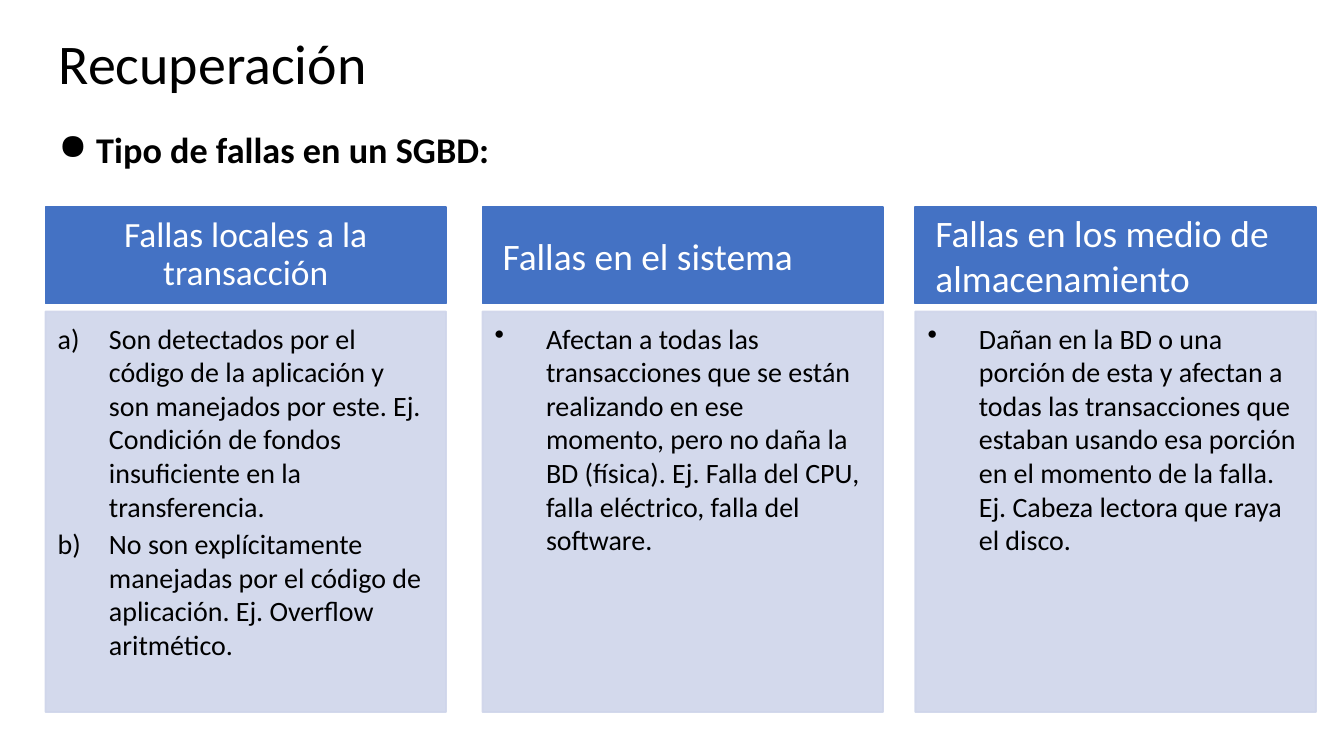
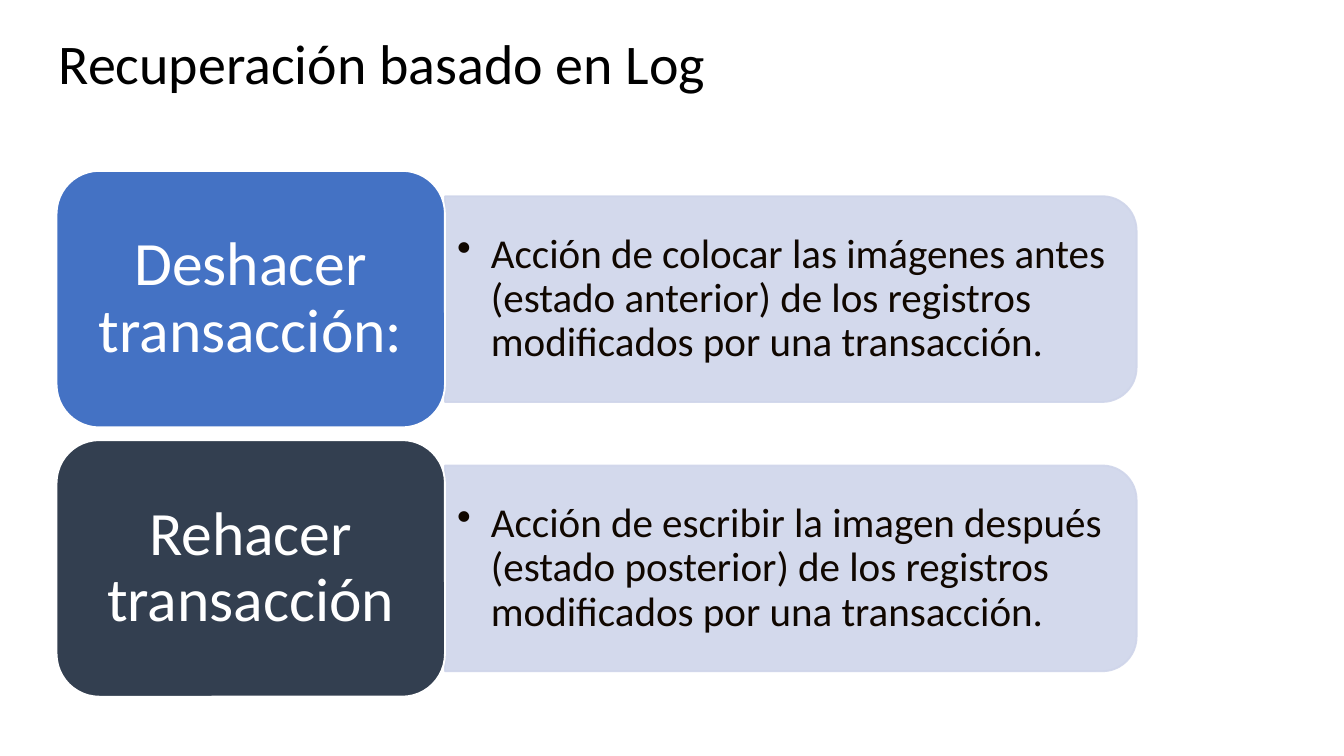
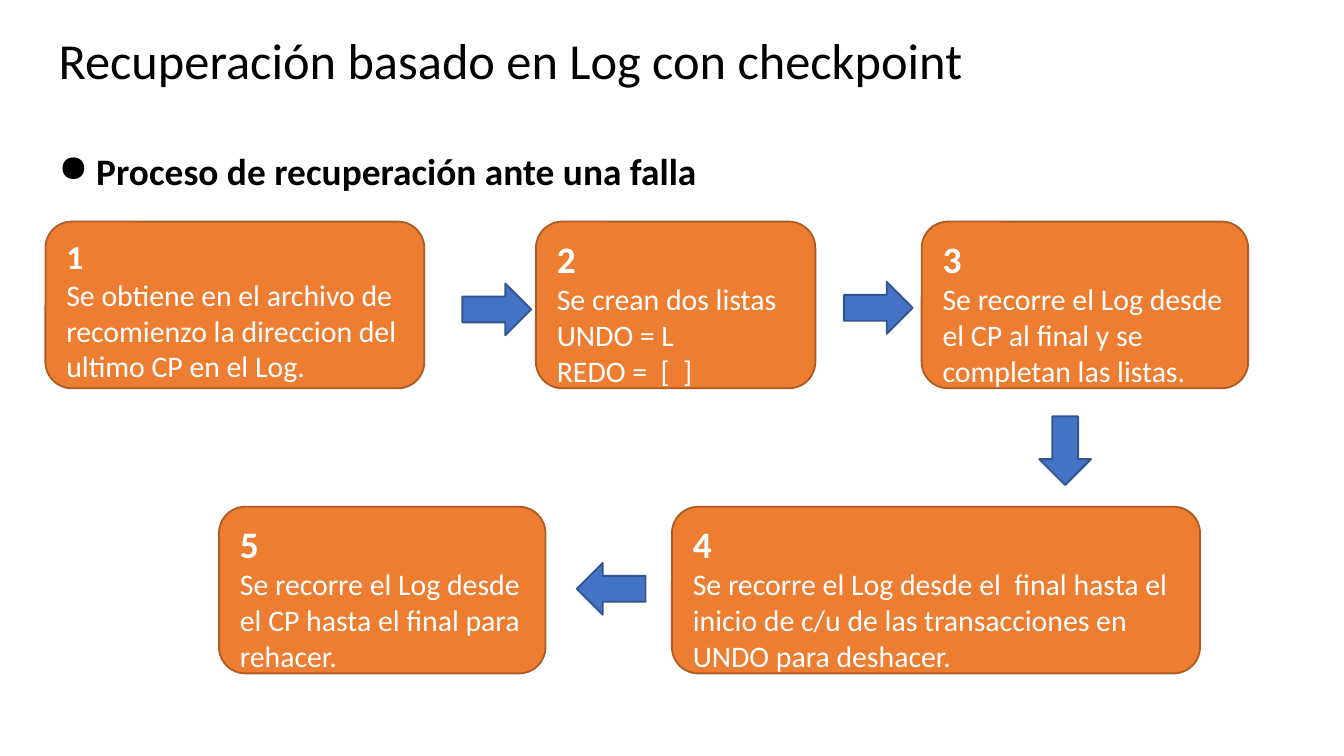
import pptx
import pptx.dml.color
import pptx.enum.shapes
import pptx.enum.text
import pptx.oxml.ns
import pptx.util
from lxml import etree

Cm = pptx.util.Cm
Pt = pptx.util.Pt
RGBColor = pptx.dml.color.RGBColor
SHAPE = pptx.enum.shapes.MSO_SHAPE
ALIGN = pptx.enum.text.PP_ALIGN
ANCHOR = pptx.enum.text.MSO_ANCHOR
qn = pptx.oxml.ns.qn

FONT = "Calibri"
BLACK = RGBColor(0x00, 0x00, 0x00)
WHITE = RGBColor(0xFF, 0xFF, 0xFF)
BLUE = RGBColor(0x44, 0x72, 0xC4)
DARK_BLUE = RGBColor(0x32, 0x54, 0x91)
PALE_BLUE = RGBColor(0xCF, 0xD5, 0xEA)
SLATE = RGBColor(0x33, 0x3F, 0x50)
ORANGE = RGBColor(0xED, 0x7D, 0x31)
BROWN = RGBColor(0xAF, 0x5C, 0x24)
DETAIL_INK = RGBColor(0x10, 0x07, 0x00)

MARGIN = 0.86
CONTENT_WIDTH = 23.67
TITLE_INSETS = (0.25, 0.25, 0.25, 0.25)
DEFAULT_INSETS = (0.25, 0.13, 0.25, 0.13)
NUMBERED = "alphaLcParenR"


def set_frame(shape, insets=DEFAULT_INSETS, anchor=ANCHOR.TOP):
    """Prepare the text frame; insets run left, top, right, bottom in cm."""
    frame = shape.text_frame
    frame.word_wrap = True
    frame.vertical_anchor = anchor
    (frame.margin_left, frame.margin_top,
     frame.margin_right, frame.margin_bottom) = map(Cm, insets)
    return frame


def set_bullet(paragraph, bullet, indent):
    properties = paragraph._p.get_or_add_pPr()
    properties.set("marL", str(Cm(indent)))
    properties.set("indent", str(-Cm(indent)))
    if bullet == NUMBERED:
        etree.SubElement(properties, qn("a:buAutoNum"), type=bullet)
    else:
        etree.SubElement(properties, qn("a:buChar"), char=bullet)


def write(frame, text, size, color=BLACK, bold=False, align=ALIGN.LEFT,
          spacing=None, after=None, bullet=None, indent=0):
    """Add one paragraph, using the empty first one when it is free."""
    paragraph = frame.paragraphs[0]
    if paragraph.runs:
        paragraph = frame.add_paragraph()
    paragraph.alignment = align
    if spacing:
        paragraph.line_spacing = spacing
    if after:
        paragraph.space_after = Pt(after)
    if bullet:
        set_bullet(paragraph, bullet, indent)
    run = paragraph.add_run()
    run.text = text
    run.font.name = FONT
    run.font.size = Pt(size)
    run.font.bold = bold
    run.font.color.rgb = color


def add_block(slide, kind, box, fill, line, opacity=None):
    block = slide.shapes.add_shape(kind, *map(Cm, box))
    block.shadow.inherit = False
    block.fill.solid()
    block.fill.fore_color.rgb = fill
    block.line.color.rgb = line
    block.line.width = Pt(1)
    if opacity:
        for color in block._element.spPr.iter(qn("a:srgbClr")):
            etree.SubElement(color, qn("a:alpha"), val=str(opacity * 1000))
    return block


def add_text_box(slide, box, insets, anchor=ANCHOR.TOP):
    return set_frame(slide.shapes.add_textbox(*map(Cm, box)), insets, anchor)


def add_titled_slide(deck, title, size=30):
    slide = deck.slides.add_slide(deck.slide_layouts[6])
    frame = add_text_box(slide, (MARGIN, 0.43, CONTENT_WIDTH, 1.75), TITLE_INSETS)
    write(frame, title, size, spacing=0.9)
    return slide


def add_lead(slide, text, top, height, size, spacing=None):
    """Bold bulleted sentence under the title."""
    frame = add_text_box(slide, (MARGIN, top, CONTENT_WIDTH, height), TITLE_INSETS)
    write(frame, text, size, bold=True, spacing=spacing, bullet="●", indent=0.71)


def add_failure_column(slide, box, heading, heading_style, bullet, causes):
    left, top, width, height = box
    heading_height, gap = 1.83, 0.15
    header = add_block(slide, SHAPE.RECTANGLE, (left, top, width, heading_height),
                       BLUE, BLUE)
    frame = set_frame(header, (0.38, 0.2, 0.38, 0.2), ANCHOR.MIDDLE)
    write(frame, heading, color=WHITE, **heading_style)

    offset = heading_height + gap
    panel = add_block(slide, SHAPE.RECTANGLE,
                      (left, top + offset, width, height - offset),
                      PALE_BLUE, PALE_BLUE, opacity=90)
    frame = set_frame(panel, (0.23, 0.18, 0.3, 0.33))
    for cause in causes:
        write(frame, cause, 15, after=2.25, bullet=bullet, indent=0.97)


def add_action_row(slide, box, action, fill, meaning):
    """Rounded action label with its meaning on a band to the right."""
    left, top, width, height = box
    label_width, band_height, text_height = 7.34, 3.89, 3.51
    band_left = left + label_width
    band_width = width - label_width
    middle = top + height / 2

    # The band is drawn upright around its centre and then turned on its side.
    band = add_block(slide, SHAPE.ROUND_2_SAME_RECTANGLE,
                     (band_left + (band_width - band_height) / 2,
                      middle - band_width / 2, band_height, band_width),
                     PALE_BLUE, PALE_BLUE, opacity=90)
    band.rotation = 90
    frame = add_text_box(slide, (band_left, middle - text_height / 2,
                                 band_width - 0.19, text_height),
                         (0.23, 0.13, 0.23, 0.13), ANCHOR.MIDDLE)
    write(frame, meaning, 22, DETAIL_INK, spacing=0.9, bullet="•", indent=0.64)

    label = add_block(slide, SHAPE.ROUNDED_RECTANGLE,
                      (left, top, label_width, height), fill, WHITE)
    frame = set_frame(label, (0.36, 0.18, 0.36, 0.18), ANCHOR.MIDDLE)
    write(frame, action, 33, WHITE, align=ALIGN.CENTER, spacing=0.9)


def add_step(slide, box, number, number_size, lines):
    step = add_block(slide, SHAPE.ROUNDED_RECTANGLE, box, ORANGE, BROWN)
    step.adjustments[0] = 0.158
    frame = set_frame(step)
    write(frame, str(number), number_size, WHITE, bold=True)
    for line in lines:
        write(frame, line, 16, WHITE)


def add_step_arrow(slide, left, top, rotation):
    arrow = add_block(slide, SHAPE.RIGHT_ARROW, (left, top, 1.3, 0.98),
                      BLUE, DARK_BLUE)
    arrow.rotation = rotation


def build_failure_types(deck):
    slide = add_titled_slide(deck, "Recuperación")
    add_lead(slide, "Tipo de fallas en un SGBD:", 2.16, 1.35, 19.4)
    centred = {"size": 19, "align": ALIGN.CENTER, "spacing": 0.9}
    plain = {"size": 20}
    columns = [
        (MARGIN, "Fallas locales a la transacción", centred, NUMBERED, [
            "Son detectados por el código de la aplicación y son manejados por "
            "este. Ej. Condición de fondos insuficiente en la transferencia.",
            "No son explícitamente manejadas por el código de aplicación. "
            "Ej. Overflow aritmético."]),
        (9.12, "Fallas en el sistema", plain, "•", [
            "Afectan a todas las transacciones que se están realizando en ese "
            "momento, pero no daña la BD (física). Ej. Falla del CPU, falla "
            "eléctrico, falla del software."]),
        (17.3, "Fallas en los medio de almacenamiento", plain, "•", [
            "Dañan en la BD o una porción de esta y afectan a todas las "
            "transacciones que estaban usando esa porción en el momento de la "
            "falla. Ej. Cabeza lectora que raya el disco."]),
    ]
    for left, *content in columns:
        add_failure_column(slide, (left, 3.91, 7.57, 9.55), *content)


def build_log_recovery(deck):
    slide = add_titled_slide(deck, "Recuperación basado en Log")
    actions = [
        ("Deshacer transacción:", BLUE,
         "Acción de colocar las imágenes antes (estado anterior) de los "
         "registros modificados por una transacción."),
        ("Rehacer transacción", SLATE,
         "Acción de escribir la imagen después (estado posterior) de los "
         "registros modificados por una transacción."),
    ]
    for row, action in enumerate(actions):
        add_action_row(slide, (1.07, 3.23 + row * 5.09, 20.41, 4.85), *action)


def build_checkpoint_recovery(deck):
    slide = add_titled_slide(deck, "Recuperación basado en Log con checkpoint", 27)
    add_lead(slide, "Proceso de recuperación ante una falla", 2.39, 10.34, 20, 1.2)
    upper, lower, height = 4.19, 9.58, 3.15
    steps = [
        (MARGIN, upper, 7.16, 18, [
            "Se obtiene en el archivo de recomienzo la direccion del ultimo CP "
            "en el Log."]),
        (10.13, upper, 5.28, 20, [
            "Se crean dos listas", "UNDO = L", "REDO =  [  ]"]),
        (17.42, upper, 6.17, 20, [
            "Se recorre el Log desde el CP al final y se completan las listas."]),
        (12.7, lower, 9.98, 20, [
            "Se recorre el Log desde el  final hasta el inicio de c/u de las "
            "transacciones en UNDO para deshacer."]),
        (4.14, lower, 6.17, 20, [
            "Se recorre el Log desde el CP hasta el final para rehacer."]),
    ]
    for number, (left, top, width, size, lines) in enumerate(steps, 1):
        add_step(slide, (left, top, width, height), number, size, lines)
    for arrow in [(8.74, 5.36, 0), (15.95, 5.33, 0),
                  (10.9, 10.64, 180), (19.48, 8.03, 90)]:
        add_step_arrow(slide, *arrow)


def main():
    deck = pptx.Presentation()
    deck.slide_width = Cm(25.4)
    deck.slide_height = Cm(14.29)
    build_failure_types(deck)
    build_log_recovery(deck)
    build_checkpoint_recovery(deck)
    deck.save("out.pptx")


if __name__ == "__main__":
    main()
